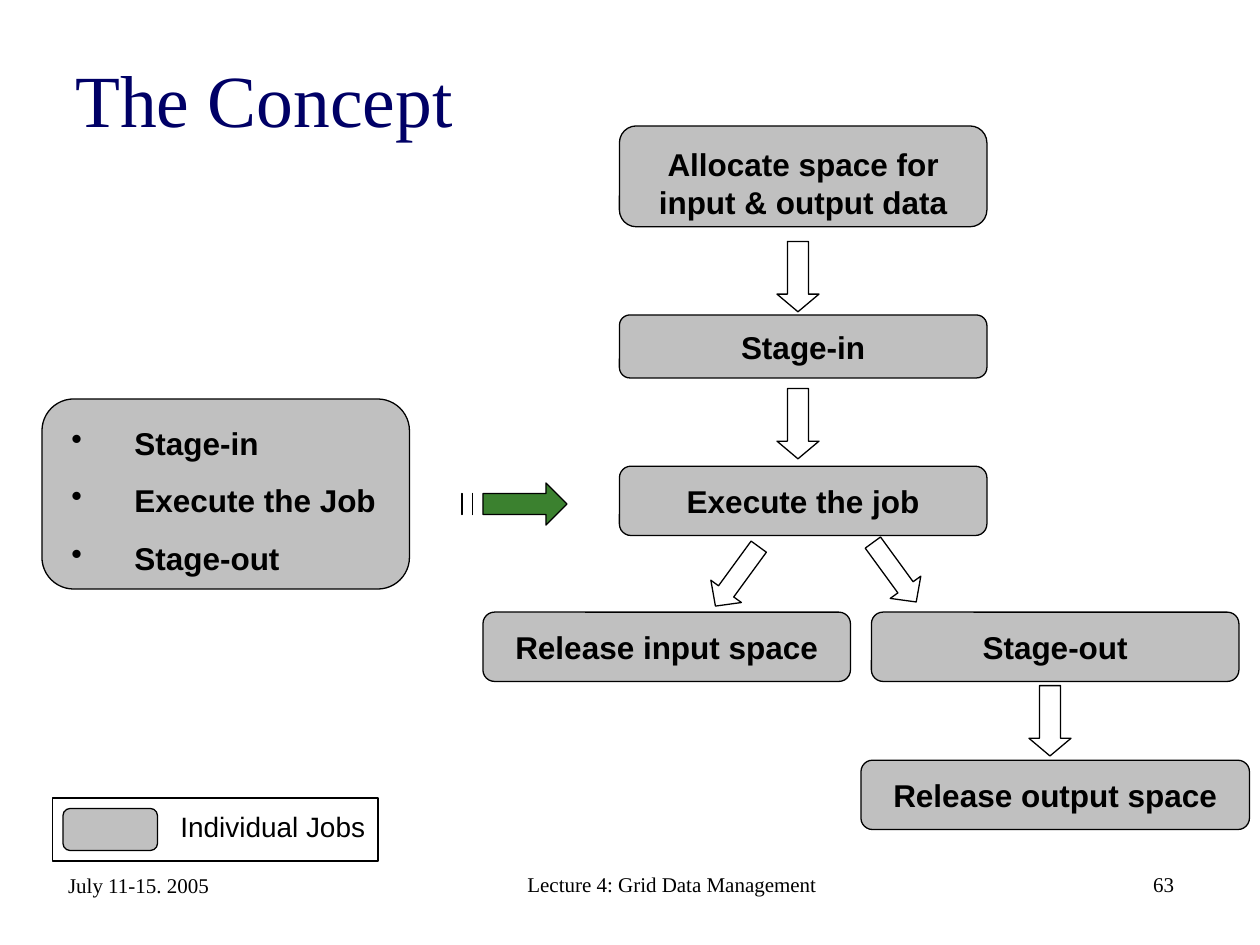
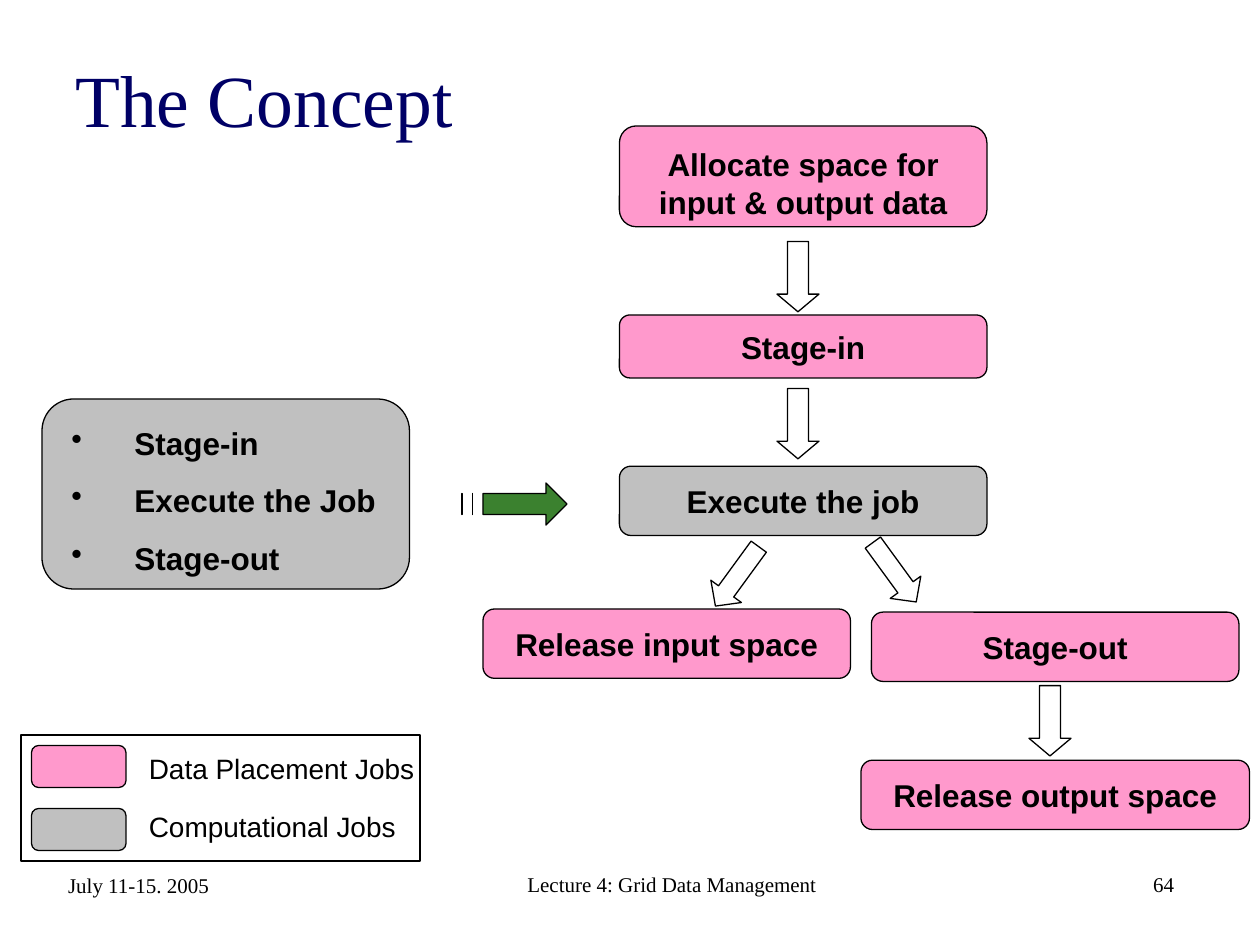
from dataclasses import dataclass

from lxml.etree import SubElement
from pptx import Presentation
from pptx.dml.color import RGBColor
from pptx.enum.shapes import MSO_SHAPE
from pptx.enum.text import MSO_ANCHOR, PP_ALIGN
from pptx.oxml.ns import qn
from pptx.util import Inches, Pt


@dataclass(frozen=True)
class Theme:
    black: RGBColor = RGBColor.from_string("000000")
    white: RGBColor = RGBColor.from_string("FFFFFF")
    navy: RGBColor = RGBColor.from_string("000066")
    grey: RGBColor = RGBColor.from_string("C0C0C0")
    pink: RGBColor = RGBColor.from_string("FF99CC")
    green: RGBColor = RGBColor.from_string("3B812F")
    serif: str = "Times New Roman"
    sans: str = "Arial"
    outline: Pt = Pt(0.75)
    line_gap: Pt = Pt(11.2)


theme = Theme()
TITLE = {"name": theme.serif, "size": Pt(42), "color": theme.navy}
FOOTER = {"name": theme.serif, "size": Pt(12), "color": theme.black}
STEP = {"name": theme.sans, "size": Pt(18), "color": theme.black, "bold": True}
LEGEND = {"name": theme.sans, "size": Pt(16), "color": theme.black}

deck = Presentation()
deck.slide_width, deck.slide_height = Inches(10), Inches(7.5)
CELL = deck.slide_width // 120  # grid of 120 columns by 90 rows


def add_box(page, area, fill=None, kind=None):
    """Add a preset shape, or a text box if no kind is given, on grid cells."""
    place = [round(cells * CELL) for cells in area]
    if kind is None:
        return page.shapes.add_textbox(*place)
    box = page.shapes.add_shape(kind, *place)
    box.shadow.inherit = False
    box.line.color.rgb, box.line.width = theme.black, theme.outline
    if fill is None:
        box.fill.background()
    else:
        box.fill.solid()
        box.fill.fore_color.rgb = fill
    return box


def write(box, lines, style, align=PP_ALIGN.LEFT, bullets=False, **frame_format):
    """Write one paragraph per line in the given style."""
    frame = box.text_frame
    for name, value in {"word_wrap": True, **frame_format}.items():
        setattr(frame, name, value)
    for number, line in enumerate(lines):
        para = frame.add_paragraph() if number else frame.paragraphs[0]
        para.alignment = align
        if number:
            para.space_before = theme.line_gap
        if bullets:
            properties = para._p.get_or_add_pPr()
            properties.set("marL", str(Inches(0.5)))
            properties.set("indent", str(-Inches(0.5)))
            SubElement(properties, qn("a:buChar"), char="•")
        span = para.add_run()
        span.text = line
        for name, value in style.items():
            if name == "color":
                span.font.color.rgb = value
            else:
                setattr(span.font, name, value)


# Content of the slides: number, colour of data steps, row of the input
# release, legend frame, and legend entries (colour, text, swatch and text rows)
slides = [
    (63, theme.grey, 58.3, (5, 76, 31, 6), 6,
     [(theme.grey, "Individual Jobs", 77, 76.5)]),
    (64, theme.pink, 58, (2, 70, 38, 12), 3,
     [(theme.pink, "Data Placement Jobs", 71, 71),
      (theme.grey, "Computational Jobs", 77, 76.5)]),
]
footer_parts = [
    ((45, 82, 38, 4), "Lecture 4: Grid Data Management", PP_ALIGN.CENTER),
    ((5.3, 82.1, 27.2, 4), "July 11-15. 2005", PP_ALIGN.LEFT),
]
flow_arrows = [
    ((74, 23, 4, 6.7), 0, 0.42),
    ((74, 37, 4, 6.7), 0, 0.42),
    ((98, 65.3, 4, 6.7), 0, 0.42),
    ((68.4, 51.4, 3.6, 7), 36.1, 0.48),
    ((83.4, 51, 3.6, 7), -36.1, 0.48),
]
arrow_body = [(45.6, 47), (51.5, 47), (51.5, 46), (54, 48),
              (51.5, 50), (51.5, 49), (45.6, 49)]
arrow_stripes = [(44, 44.3), (44.6, 45.2)]

for number, data_color, release_row, legend_area, swatch_column, entries in slides:
    page = deck.slides.add_slide(deck.slide_layouts[6])

    # Title
    write(add_box(page, (6, 3.6, 103, 11.4)), ["The Concept"], TITLE,
          vertical_anchor=MSO_ANCHOR.MIDDLE)

    # Job list and workflow steps
    steps = [
        ((4, 38, 35, 18.1), theme.grey, ["Stage-in", "Execute the Job", "Stage-out"]),
        ((59, 12, 35, 9.6), data_color, ["Allocate space for input & output data"]),
        ((59, 30, 35, 6), data_color, ["Stage-in"]),
        ((59, 44.4, 35, 6.6), theme.grey, ["Execute the job"]),
        ((46, release_row, 35, 6.6), data_color, ["Release input space"]),
        ((83, 58.3, 35, 6.6), data_color, ["Stage-out"]),
        ((82, 72.4, 37, 6.6), data_color, ["Release output space"]),
    ]
    for area, fill, lines in steps:
        is_list, is_tall = len(lines) > 1, area[3] > 9
        write(add_box(page, area, fill, MSO_SHAPE.ROUNDED_RECTANGLE), lines, STEP,
              PP_ALIGN.LEFT if is_list else PP_ALIGN.CENTER, is_list,
              vertical_anchor=MSO_ANCHOR.MIDDLE,
              margin_left=Inches(0.16), margin_right=Inches(0.16),
              margin_top=Inches(0.15 if is_tall else 0.05))

    # Arrows between the steps
    for area, angle, head in flow_arrows:
        arrow = add_box(page, area, theme.white, MSO_SHAPE.DOWN_ARROW)
        arrow.rotation = angle
        arrow.adjustments[1] = head

    # Striped arrow from the list to the workflow
    outline = page.shapes.build_freeform(*arrow_body[0], scale=CELL)
    outline.add_line_segments(arrow_body[1:], close=True)
    for left, right in arrow_stripes:
        outline.move_to(left, 47)
        outline.add_line_segments([(right, 47), (right, 49), (left, 49)], close=True)
    striped_arrow = outline.convert_to_shape()
    striped_arrow.shadow.inherit = False
    striped_arrow.fill.solid()
    striped_arrow.fill.fore_color.rgb = theme.green
    striped_arrow.line.color.rgb = theme.black
    striped_arrow.line.width = theme.outline

    # Legend
    for fill, label, swatch_row, label_row in entries:
        add_box(page, (swatch_column, swatch_row, 9, 4), fill,
                MSO_SHAPE.ROUNDED_RECTANGLE)
        label_width = legend_area[2] - 10 if len(entries) == 1 else 29
        write(add_box(page, (swatch_column + 10, label_row, label_width, 4.5)),
              [label], LEGEND)
    add_box(page, legend_area, kind=MSO_SHAPE.RECTANGLE)

    # Footer
    page_number = ((85, 82, 28, 4), str(number), PP_ALIGN.RIGHT)
    for area, words, align in [*footer_parts, page_number]:
        write(add_box(page, area), [words], FOOTER, align,
              vertical_anchor=MSO_ANCHOR.BOTTOM)

deck.save("out.pptx")
